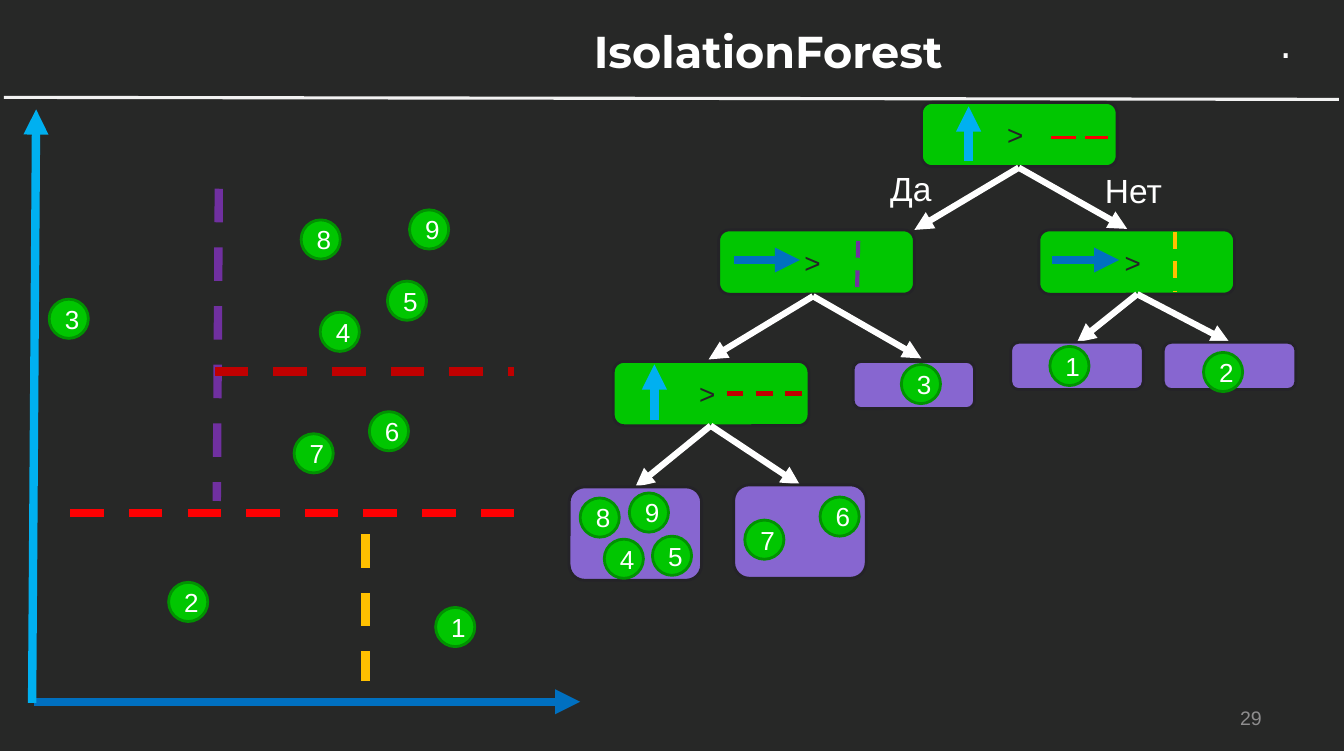
from dataclasses import dataclass
from typing import NamedTuple, Optional

from lxml import etree
from pptx import Presentation, util as u
from pptx.dml.color import RGBColor
from pptx.enum import dml, shapes, text
from pptx.oxml import ns

COLUMNS, ROWS = 1339, 748
SLIDE_WIDTH, SLIDE_HEIGHT = u.Inches(13.39), u.Inches(7.48)
POINT_SIZE, NODE_WIDTH, NODE_HEIGHT = 39, 195, 64
DASH, LONG_DASH = dml.MSO_LINE.DASH, dml.MSO_LINE.LONG_DASH


@dataclass(frozen=True)
class Theme:
    background: str = "272827"
    white: str = "FFFFFF"
    rule: str = "F2F2F2"
    muted: str = "8E8D8E"
    dark: str = "242327"
    green: str = "01C601"
    green_edge: str = "019201"
    leaf: str = "8766D0"
    x_axis: str = "0070C0"
    y_axis: str = "00B0F0"
    red: str = "FD0002"
    node_red: str = "F70002"
    dark_red: str = "C00000"
    purple: str = "7030A0"
    amber: str = "FFC000"
    body_font: str = "Arial"
    title_font: str = "Montserrat"
    symbol_font: str = "DejaVu Sans"
    title_size: float = 32
    symbol_size: float = 27.9
    answer_size: float = 24
    node_size: float = 20
    point_size: float = 18.7
    page_size: float = 14


THEME = Theme()


class Box(NamedTuple):
    column: float
    row: float
    width: float
    height: float


class Stroke(NamedTuple):
    start: tuple[float, float]
    end: tuple[float, float]
    color: str
    weight: float = 6
    dash: Optional[dml.MSO_LINE] = None
    arrow: bool = False


class Point(NamedTuple):
    number: int
    column: float
    row: float


class Node(NamedTuple):
    column: float
    row: float
    feature: Stroke
    threshold: Stroke


class Split(NamedTuple):
    apex: tuple[float, float]
    yes: tuple[float, float]
    no: tuple[float, float]


class Label(NamedTuple):
    words: str
    box: Box
    size: float
    color: str = THEME.white
    font: str = THEME.body_font
    align: text.PP_ALIGN = text.PP_ALIGN.LEFT
    anchor: text.MSO_ANCHOR = text.MSO_ANCHOR.TOP
    bold: bool = False
    wrap: bool = True


LABELS = [
    Label("29", Box(956, 695, 311, 40), THEME.page_size, THEME.muted,
          align=text.PP_ALIGN.RIGHT, anchor=text.MSO_ANCHOR.MIDDLE),
    Label(".", Box(1265, 15, 34, 57), THEME.symbol_size, font=THEME.symbol_font, wrap=False),
    Label("IsolationForest", Box(344, 19, 843, 53), THEME.title_size, font=THEME.title_font,
          align=text.PP_ALIGN.CENTER, bold=True),
    Label("Да", Box(877, 162, 81, 50), THEME.answer_size),
    Label("Нет", Box(1091, 164, 112, 50), THEME.answer_size),
]
CHART_STROKES = [
    Stroke((4, 97), (1334, 99), THEME.rule, 2.25),
    Stroke((70, 511), (537, 511), THEME.red, dash=DASH),
    Stroke((34, 699), (578, 699), THEME.x_axis, arrow=True),
    Stroke((32, 700), (36, 109), THEME.y_axis, arrow=True),
    Stroke((364, 532), (364, 678), THEME.amber, dash=DASH),
    Stroke((218, 188), (216, 499), THEME.purple, dash=DASH),
    Stroke((214, 370), (512, 370), THEME.dark_red, dash=DASH),
]
CHART_POINTS = [
    Point(5, 386, 280), Point(6, 368, 410), Point(9, 408, 209),
    Point(1, 434, 605), Point(8, 300, 219), Point(2, 168, 580),
    Point(3, 49, 298), Point(7, 293, 432), Point(4, 319, 311),
]
NODES = [
    Node(918, 102, Stroke((965, 160), (965, 106), THEME.y_axis, arrow=True),
         Stroke((1047, 137), (1104, 137), THEME.node_red, 2.25, LONG_DASH)),
    Node(1035, 229, Stroke((1048, 259), (1115, 259), THEME.x_axis, arrow=True),
         Stroke((1171, 231), (1171, 291), THEME.amber, 3, DASH)),
    Node(716, 229, Stroke((731, 259), (797, 259), THEME.x_axis, arrow=True),
         Stroke((855, 240), (854, 286), THEME.purple, 3, DASH)),
    Node(611, 360, Stroke((652, 418), (652, 363), THEME.y_axis, arrow=True),
         Stroke((724, 392), (804, 392), THEME.dark_red, 3, DASH)),
]
SPLITS = [
    Split((1015, 167), (911, 229), (1123, 228)),
    Split((1133, 293), (1073, 341), (1225, 341)),
    Split((810, 295), (706, 358), (918, 357)),
    Split((708, 424), (633, 485), (797, 483)),
]
LEAVES = [
    Box(1007, 341, 132, 47), Box(1159, 341, 132, 47), Box(850, 360, 121, 47),
    Box(731, 483, 132, 93), Box(567, 485, 132, 93),
]
LEAF_POINTS = [
    Point(1, 1046, 345), Point(2, 1199, 351), Point(3, 898, 363),
    Point(6, 817, 495), Point(7, 742, 518), Point(5, 650, 534),
    Point(9, 627, 491), Point(8, 578, 496), Point(4, 602, 537),
]


def across(columns: float) -> int:
    return round(SLIDE_WIDTH * columns / COLUMNS)


def down(rows: float) -> int:
    return round(SLIDE_HEIGHT * rows / ROWS)


def place(box: Box) -> tuple[int, int, int, int]:
    return across(box.column), down(box.row), across(box.width), down(box.height)


def set_text(shape, label: Label) -> None:
    frame = shape.text_frame
    frame.word_wrap = label.wrap
    frame.vertical_anchor = label.anchor
    paragraph = frame.paragraphs[0]
    paragraph.text = label.words
    paragraph.alignment = label.align
    font = paragraph.font
    font.name, font.size, font.bold = label.font, u.Pt(label.size), label.bold
    font.color.rgb = RGBColor.from_string(label.color)


def draw_label(slide, label: Label) -> None:
    set_text(slide.shapes.add_textbox(*place(label.box)), label)


def draw_stroke(slide, stroke: Stroke) -> None:
    (left, top), (right, bottom) = stroke.start, stroke.end
    connector = slide.shapes.add_connector(
        shapes.MSO_CONNECTOR.STRAIGHT, across(left), down(top), across(right), down(bottom))
    line = connector.line
    line.color.rgb = RGBColor.from_string(stroke.color)
    line.width = u.Pt(stroke.weight)
    if stroke.dash is not None:
        line.dash_style = stroke.dash
    if stroke.arrow:
        etree.SubElement(line._get_or_add_ln(), ns.qn("a:tailEnd"), type="triangle")
    etree.SubElement(connector._element.spPr, ns.qn("a:effectLst"))


def draw_shape(slide, kind: shapes.MSO_SHAPE, box: Box, fill: str, edge: str):
    shape = slide.shapes.add_shape(kind, *place(box))
    shape.shadow.inherit = False
    shape.fill.solid()
    shape.fill.fore_color.rgb = RGBColor.from_string(fill)
    shape.line.color.rgb = RGBColor.from_string(edge)
    shape.line.width = u.Pt(2)
    return shape


def draw_point(slide, point: Point) -> None:
    box = Box(point.column, point.row, POINT_SIZE, POINT_SIZE)
    shape = draw_shape(slide, shapes.MSO_SHAPE.OVAL, box, THEME.green, THEME.green_edge)
    set_text(shape, Label(str(point.number), box, THEME.point_size,
                          align=text.PP_ALIGN.CENTER, anchor=text.MSO_ANCHOR.MIDDLE))


def draw_node(slide, node: Node) -> None:
    box = Box(node.column, node.row, NODE_WIDTH, NODE_HEIGHT)
    shape = draw_shape(slide, shapes.MSO_SHAPE.ROUNDED_RECTANGLE, box, THEME.green, THEME.dark)
    set_text(shape, Label("> ", box, THEME.node_size, THEME.dark,
                          align=text.PP_ALIGN.CENTER, anchor=text.MSO_ANCHOR.MIDDLE))
    draw_stroke(slide, node.feature)
    draw_stroke(slide, node.threshold)


def main() -> None:
    presentation = Presentation()
    presentation.slide_width, presentation.slide_height = SLIDE_WIDTH, SLIDE_HEIGHT
    slide = presentation.slides.add_slide(presentation.slide_layouts[6])
    slide.background.fill.solid()
    slide.background.fill.fore_color.rgb = RGBColor.from_string(THEME.background)
    for stroke in CHART_STROKES:
        draw_stroke(slide, stroke)
    for node in NODES:
        draw_node(slide, node)
    for split in SPLITS:
        for tip in (split.yes, split.no):
            draw_stroke(slide, Stroke(split.apex, tip, THEME.white, 4.5, arrow=True))
    for leaf in LEAVES:
        draw_shape(slide, shapes.MSO_SHAPE.ROUNDED_RECTANGLE, leaf, THEME.leaf, THEME.dark)
    for point in CHART_POINTS + LEAF_POINTS:
        draw_point(slide, point)
    for label in LABELS:
        draw_label(slide, label)
    presentation.save("out.pptx")


if __name__ == "__main__":
    main()
